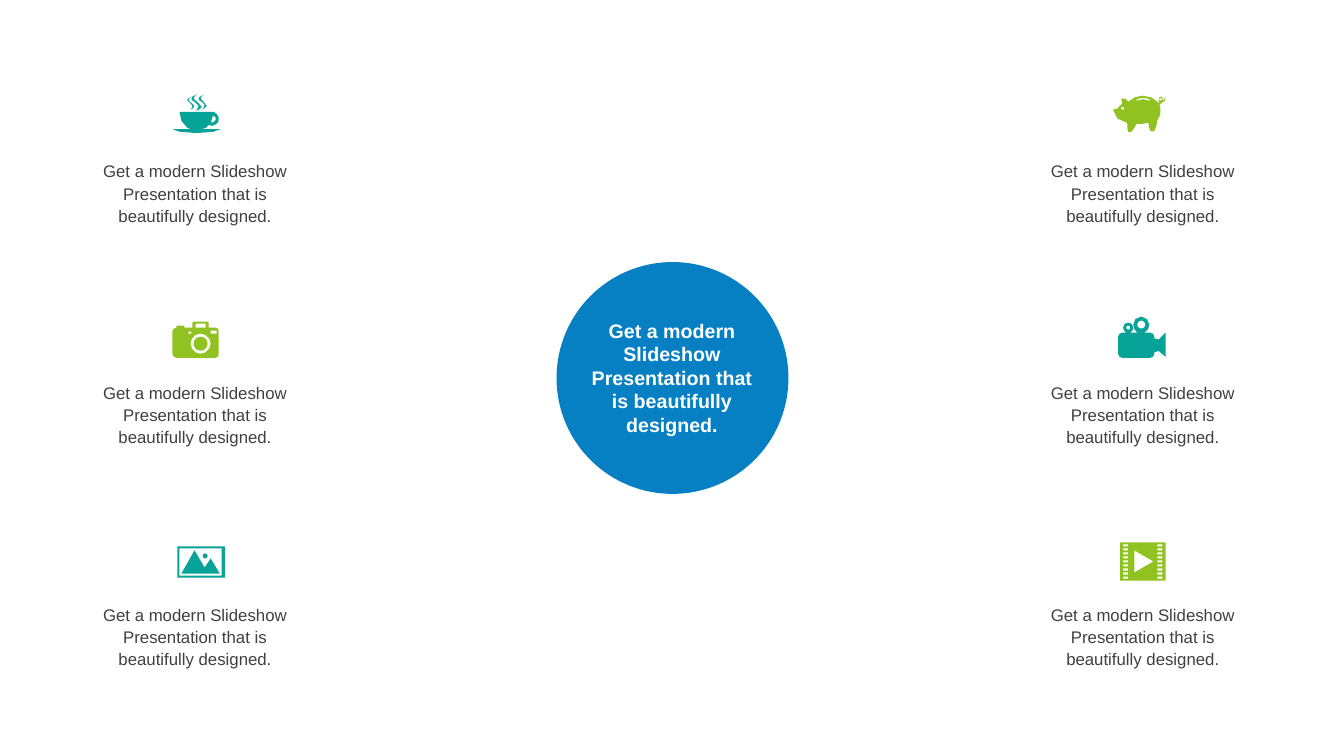
import math
from pptx import Presentation
from pptx import util as u
from pptx.dml.color import RGBColor
from pptx.enum import shapes, text

COLORS = {"blue": "0680C3", "teal": "07A398", "green": "90C221",
          "grey": "404040", "white": "FFFFFF"}
MESSAGE = "Get a modern Slideshow Presentation that is beautifully designed."
CURVE_STEPS = 2


def rect(left, top, right, bottom):
    """Return a rectangular outline."""
    return [(left, top), (right, top), (right, bottom), (left, bottom)]


def circle(cx, cy, radius, count=12):
    """Return a round outline."""
    angles = [2 * math.pi * i / count for i in range(count)]
    return [(cx + radius * math.cos(a), cy + radius * math.sin(a)) for a in angles]


def outline(path):
    """Return the points of one closed 'x,y L x,y C x,y x,y x,y' outline."""
    points, pending, curved = [], [], False
    for token in path.split():
        if token in ("L", "C"):
            curved = token == "C"
            continue
        pending.append(tuple(float(n) for n in token.split(",")))
        if not curved:
            points.append(pending.pop())
        elif len(pending) == 3:
            ends = [points[-1]] + pending
            for step in range(1, CURVE_STEPS + 1):
                t = step / CURVE_STEPS
                weights = ((1 - t) ** 3, 3 * t * (1 - t) ** 2, 3 * t * t * (1 - t), t ** 3)
                points.append(tuple(sum(w * e[axis] for w, e in zip(weights, ends))
                                    for axis in (0, 1)))
            pending = []
    return points


# Icon outlines are in hundredths of an inch on the slide.
CUP = [outline(path) for path in (
    "211,115 C 211,117 210,119 209,121 210,122 211,122 212,121 "
    "214,120 214,119 214,117 214,116 213,115 211,115",
    "212,111 C 214,112 217,114 217,117 218,120 216,123 213,124 211,125 209,125 207,124 "
    "206,125 205,126 204,127 203,127 201,128 200,128 L 219,128 "
    "C 218,130 208,132 195,132 182,132 172,130 171,128 L 189,128 "
    "C 188,128 187,127 186,127 181,123 178,118 178,111",
    "190,96 C 188,97 187,98 187,100 188,103 193,102 193,105 192,107 191,108 189,109 "
    "190,107 191,107 191,105 191,103 187,102 186,100 185,99 186,97 190,96",
    "202,94 C 200,96 199,96 199,98 199,102 206,101 205,105 204,107 203,107 200,109 "
    "202,107 203,106 203,104 203,102 199,101 197,99 196,97 198,96 202,94",
    "196,93 C 194,95 192,95 192,98 193,102 200,101 200,106 199,108 198,109 194,110 "
    "196,108 197,107 197,105 197,102 192,102 190,99 189,97 191,95 196,93")]

PIG = [circle(1113.5, 107.5, 1.5), circle(1151, 98.5, 1.3)] + [outline(path) for path in (
    "1134,97 C 1131,97 1129,98 1127,99 L 1127,100 C 1131,98 1136,98 1140,100 "
    "L 1141,99 C 1138,98 1136,97 1134,97",
    "1133,95 C 1139,95 1145,97 1148,101 L 1149,102 "
    "C 1149,102 1150,102 1150,101 1149,101 1149,100 1149,99 1149,97 1150,96 1151,96 "
    "1153,96 1154,97 1153,99 1153,99 1153,99 1153,100 1154,99 1155,100 1156,96 "
    "1157,100 1155,101 1152,102 1151,103 1151,103 1150,104 L 1151,107 "
    "C 1152,112 1150,117 1148,119 1148,124 1146,126 1145,130 1145,131 1141,130 1141,130 "
    "1140,128 1139,125 1139,122 1135,123 1130,123 1127,123 1126,126 1124,129 1122,131 "
    "L 1119,131 C 1118,130 1118,125 1118,122 1113,120 1102,117 1104,109 "
    "1104,108 1107,108 1108,108 1110,106 1110,105 1113,103 1113,101 1112,98 1112,98 "
    "1116,96 1117,99 1119,101 1122,97 1129,95 1133,95")]

CAMERA = [circle(199, 341, 7), circle(199, 341, 10), rect(187, 329, 190, 331),
          rect(209, 328, 215, 331), rect(194, 321, 204, 325), outline(
    "192,319 L 206,319 207,320 207,325 214,325 "
    "C 216,325 217,327 217,329 L 217,351 C 217,353 216,355 214,355 L 175,355 "
    "C 173,355 171,353 171,351 L 171,329 C 171,327 173,325 175,325 L 175,324 "
    "176,323 183,323 183,325 191,325 191,320")]

VIDEO = [circle(1119, 325, 2), circle(1132, 322, 4), outline(
    "1132,314 C 1136,314 1140,318 1140,322 1140,326 1138,328 1135,330 L 1141,330 "
    "C 1143,330 1145,332 1145,334 L 1145,336 1147,336 1149,337 "
    "1156,330 1156,354 1149,348 1147,349 1145,349 1145,351 "
    "C 1145,353 1143,355 1141,355 L 1113,355 C 1111,355 1109,353 1109,351 L 1109,334 "
    "C 1109,332 1111,330 1113,330 L 1117,330 C 1115,329 1114,327 1114,325 "
    "1114,322 1116,320 1119,320 1122,320 1124,322 1124,325 1124,327 1123,329 1121,330 "
    "L 1128,330 C 1126,328 1124,326 1124,322 1124,318 1127,314 1132,314")]

PHOTO = [circle(203.5, 551.5, 2.5), outline("193,546 L 203,563 209,554 218,569 180,569"),
         rect(178, 544, 220, 571), rect(176, 542, 223, 573)]

FILM = [rect(1111, 538, 1156, 576), outline("1125,546 L 1125,568 1144,557")] + [
    rect(left, top, left + 5, top + 2) for left in (1114, 1148) for top in range(540, 573, 4)]


class Deck:
    """Hold the style and the current slide."""

    def __init__(self, prs, font="Arial"):
        """Add a blank slide."""
        self.font = font
        self.s = prs.slides.add_slide(prs.slide_layouts[6])

    def paint(self, sp, color):
        """Give a shape a plain fill without line or shadow."""
        sp.shadow.inherit = False
        sp.fill.solid()
        sp.fill.fore_color.rgb = RGBColor.from_string(COLORS[color])
        sp.line.fill.background()

    def disc(self, left, top, size, color):
        """Draw a filled circle."""
        box = [u.Inches(n) for n in (left, top, size, size)]
        self.paint(self.s.shapes.add_shape(shapes.MSO_SHAPE.OVAL, *box), color)

    def label(self, box, words, color, size, bold=False, spacing=1.0):
        """Write centred, wrapped text."""
        tf = self.s.shapes.add_textbox(*[u.Inches(n) for n in box]).text_frame
        tf.word_wrap = True
        tf.auto_size = text.MSO_AUTO_SIZE.SHAPE_TO_FIT_TEXT
        p = tf.paragraphs[0]
        p.alignment, p.line_spacing = text.PP_ALIGN.CENTER, spacing
        r = p.add_run()
        r.text = words
        style = {"name": self.font, "size": u.Pt(size), "bold": bold}
        for key, value in style.items():
            setattr(r.font, key, value)
        r.font.color.rgb = RGBColor.from_string(COLORS[color])

    def icon(self, outlines, color):
        """Draw closed outlines as one shape with cut-outs."""
        unit = u.Inches(0.01)
        scaled = [[(x * unit, y * unit) for x, y in points] for points in outlines]
        builder = self.s.shapes.build_freeform(*scaled[0][0], scale=1.0)
        for number, points in enumerate(scaled):
            if number:
                builder.move_to(*points[0])
            builder.add_line_segments(points[1:], close=True)
        self.paint(builder.convert_to_shape(), color)


prs = Presentation()
prs.slide_width, prs.slide_height = u.Inches(13.33), u.Inches(7.5)
deck = Deck(prs)
deck.disc(5.52, 2.6, 2.3, "blue")
deck.label((5.76, 3.11, 1.81, 1.28), MESSAGE, "white", 14, bold=True)

columns = {0.78: [(CUP, "teal"), (CAMERA, "green"), (PHOTO, "teal")],
           10.18: [(PIG, "green"), (VIDEO, "teal"), (FILM, "green")]}
for left, items in columns.items():
    for row, (outlines, color) in enumerate(items):
        deck.icon(outlines, color)
        deck.label((left, 1.53 + 2.2 * row, 2.31, 0.77), MESSAGE, "grey", 12, spacing=1.1)

prs.save("out.pptx")
